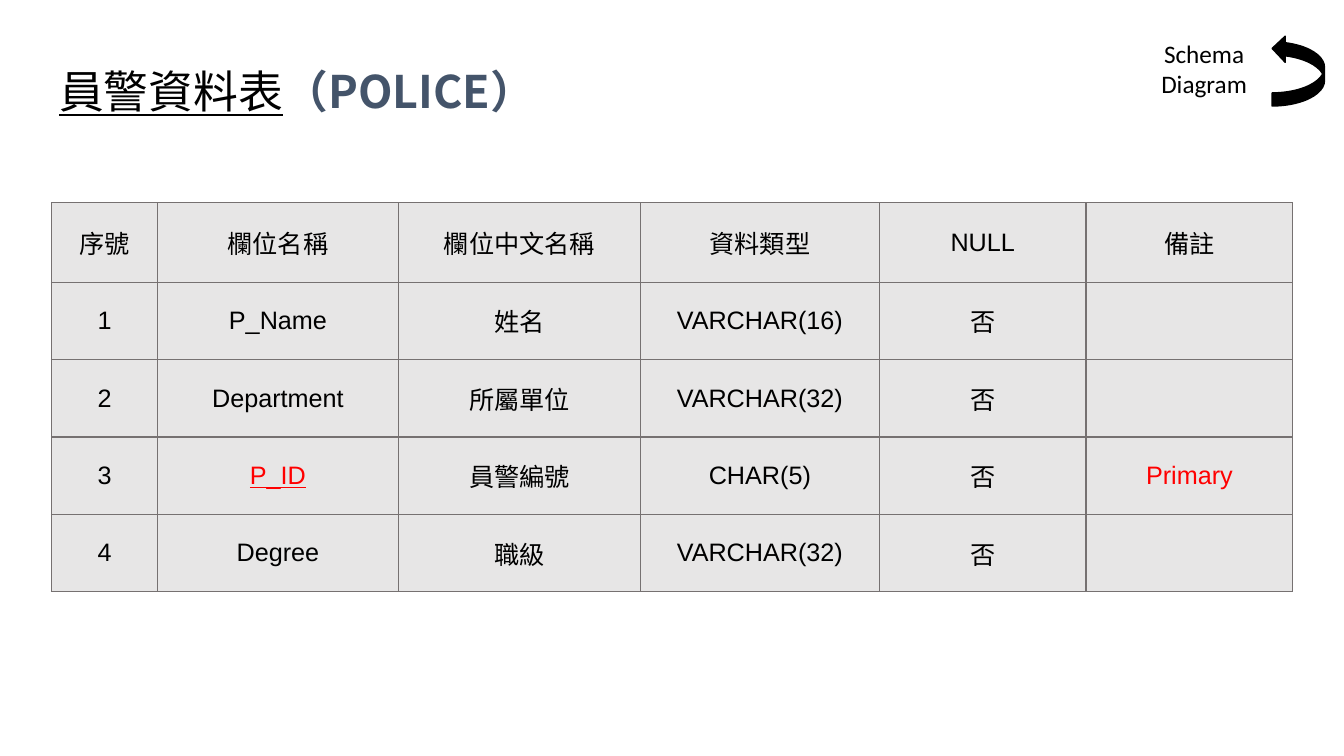
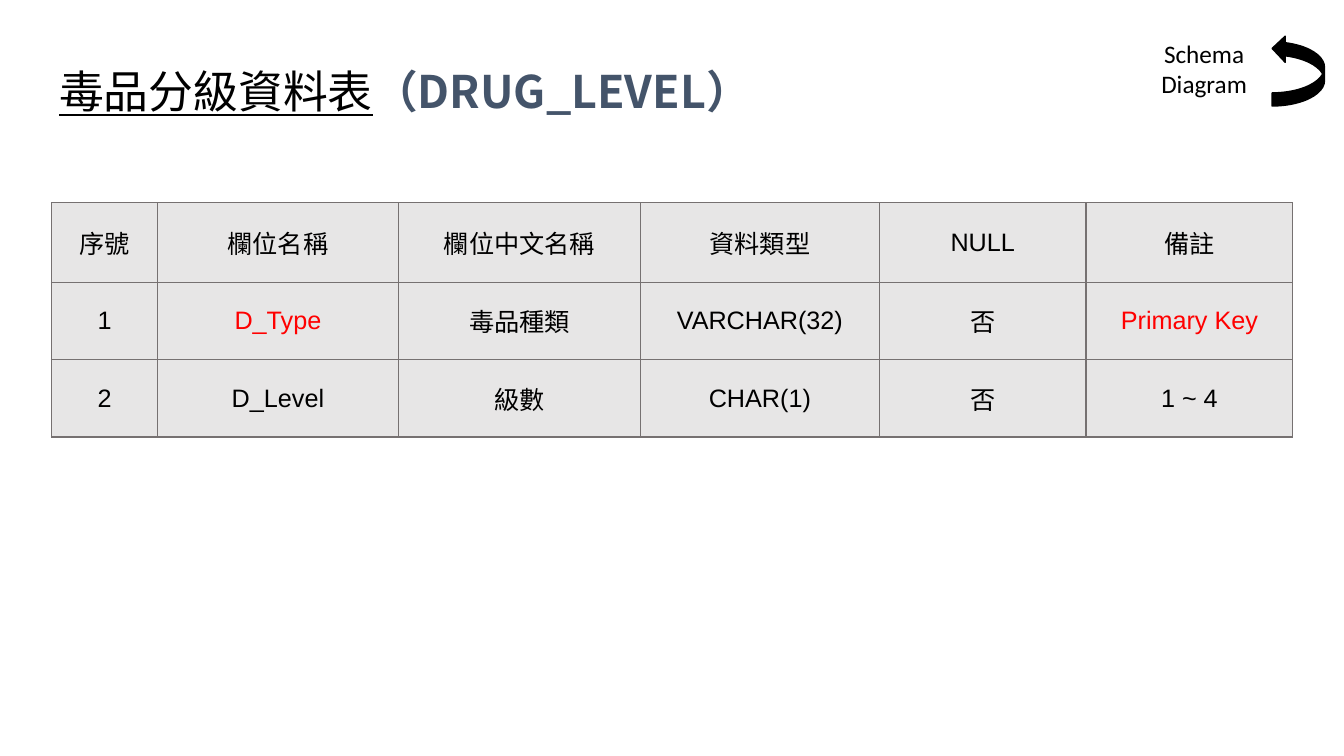
from pptx import Presentation
from pptx.dml.color import RGBColor
from pptx.enum.shapes import MSO_SHAPE as Shape
from pptx.enum.text import MSO_ANCHOR as Anchor, MSO_AUTO_SIZE as AutoSize, PP_ALIGN as Align
from pptx.oxml import parse_xml
from pptx.oxml.ns import nsdecls
from pptx.util import Cm, Pt

BLACK = RGBColor(0x00, 0x00, 0x00)
SLATE = RGBColor(0x44, 0x54, 0x6A)
RED = RGBColor(0xFF, 0x00, 0x00)
PALE_GREY = RGBColor(0xE7, 0xE6, 0xE6)
BORDER_GREY = RGBColor(0x76, 0x71, 0x71)

CJK_FONT = "Noto Sans CJK SC"
TITLE = {"name": CJK_FONT, "size": Pt(32), "color": BLACK, "underline": True}
TITLE_CODE = TITLE | {"color": SLATE, "underline": False, "bold": True}
CELL = {"name": "Arial", "size": Pt(18), "color": BLACK}
KEY = CELL | {"color": RED}
KEY_UNDERLINED = KEY | {"underline": True}
LABEL = CELL | {"name": "Calibri"}

COLUMN_WIDTHS = (2.67, 6.07, 6.1, 6.02, 5.21, 5.21)
HEADER_HEIGHT, ROW_HEIGHT = 2.0, 1.95
HEADER_MARGIN, ROW_MARGIN = 0.34, 0.18
HEADINGS = ("序號", "欄位名稱", "欄位中文名稱", "資料類型", "NULL", "備註")

# Each field: name, Chinese name, data type, remark; a (text, style) pair is highlighted.
TABLES = (
    ("員警資料表", "POLICE", (
        ("P_Name", "姓名", "VARCHAR(16)", ""),
        ("Department", "所屬單位", "VARCHAR(32)", ""),
        (("P_ID", KEY_UNDERLINED), "員警編號", "CHAR(5)", ("Primary", KEY)),
        ("Degree", "職級", "VARCHAR(32)", ""),
    )),
    ("毒品分級資料表", "DRUG_LEVEL", (
        (("D_Type", KEY), "毒品種類", "VARCHAR(32)", ("Primary Key", KEY)),
        ("D_Level", "級數", "CHAR(1)", "1 ~ 4"),
    )),
)


def format_span(span, style):
    for name, value in style.items():
        if name == "color":
            span.font.color.rgb = value
        else:
            setattr(span.font, name, value)
    span._r.get_or_add_rPr().append(
        parse_xml(f'<a:ea {nsdecls("a")} typeface="{CJK_FONT}"/>'))


def set_margins(holder, margin):
    for side in ("left", "right", "top", "bottom"):
        setattr(holder, f"margin_{side}", Cm(margin))


def add_borders(cell):
    properties = cell._tc.get_or_add_tcPr()
    for side in "LRTB":
        properties.append(parse_xml(
            f'<a:ln{side} {nsdecls("a")} w="{Pt(1)}"><a:solidFill>'
            f'<a:srgbClr val="{BORDER_GREY}"/></a:solidFill></a:ln{side}>'))


class SchemaDeck:
    """Holds the presentation and the slide being filled."""

    def __init__(self):
        self.deck = Presentation()
        self.deck.slide_width, self.deck.slide_height = Cm(33.87), Cm(19.05)
        self.page = None

    def add_page(self):
        self.page = self.deck.slides.add_slide(self.deck.slide_layouts[5])

    def add_title(self, name, code):
        title = self.page.shapes.title
        title.left, title.top, title.width, title.height = Cm(1.15), Cm(1.42), Cm(31.54), Cm(2.13)
        frame = title.text_frame
        frame.auto_size, frame.vertical_anchor = AutoSize.NONE, Anchor.TOP
        set_margins(frame, 0.34)
        para = frame.paragraphs[0]
        para.alignment, para.line_spacing = Align.LEFT, 0.9
        for text, style in ((name, TITLE), (f"（{code}）", TITLE_CODE)):
            span = para.add_run()
            span.text = text
            format_span(span, style)

    def add_field_table(self, fields):
        rows = [HEADINGS]
        for number, (name, chinese, kind, remark) in enumerate(fields, 1):
            rows.append((str(number), name, chinese, kind, "否", remark))
        heights = [HEADER_HEIGHT] + [ROW_HEIGHT] * len(fields)
        table = self.page.shapes.add_table(
            len(rows), len(HEADINGS), Cm(1.3), Cm(5.11),
            Cm(sum(COLUMN_WIDTHS)), Cm(sum(heights))).table
        table.first_row = table.horz_banding = False
        for column, width in zip(table.columns, COLUMN_WIDTHS):
            column.width = Cm(width)
        for index, (row, height, values) in enumerate(zip(table.rows, heights, rows)):
            row.height = Cm(height)
            for cell, value in zip(row.cells, values):
                text, style = value if isinstance(value, tuple) else (value, CELL)
                self.fill_cell(cell, text, style, ROW_MARGIN if index else HEADER_MARGIN)

    def fill_cell(self, cell, text, style, margin):
        add_borders(cell)
        cell.fill.solid()
        cell.fill.fore_color.rgb = PALE_GREY
        cell.vertical_anchor = Anchor.MIDDLE
        set_margins(cell, margin)
        if text:
            self.write_centred(cell.text_frame, text, style)

    def write_centred(self, frame, text, style):
        para = frame.paragraphs[0]
        para.text = text
        para.alignment = Align.CENTER
        for span in para.runs:
            format_span(span, style)

    def add_return_arrow(self):
        arrow = self.page.shapes.add_shape(
            Shape.CURVED_UP_ARROW, Cm(31.83), Cm(1.12), Cm(1.78), Cm(1.32))
        arrow.rotation = 270
        arrow.shadow.inherit = False
        arrow.fill.solid()
        arrow.fill.fore_color.rgb = arrow.line.color.rgb = BLACK
        arrow.line.width = Pt(1)

    def add_return_label(self, text):
        box = self.page.shapes.add_textbox(Cm(29), Cm(0.84), Cm(2.69), Cm(1.8))
        box.text_frame.word_wrap = False
        box.text_frame.auto_size = AutoSize.SHAPE_TO_FIT_TEXT
        self.write_centred(box.text_frame, text, LABEL)


def main():
    schema = SchemaDeck()
    for name, code, fields in TABLES:
        schema.add_page()
        schema.add_title(name, code)
        schema.add_field_table(fields)
        schema.add_return_arrow()
        schema.add_return_label("Schema\vDiagram")
    schema.deck.save("out.pptx")


if __name__ == "__main__":
    main()
